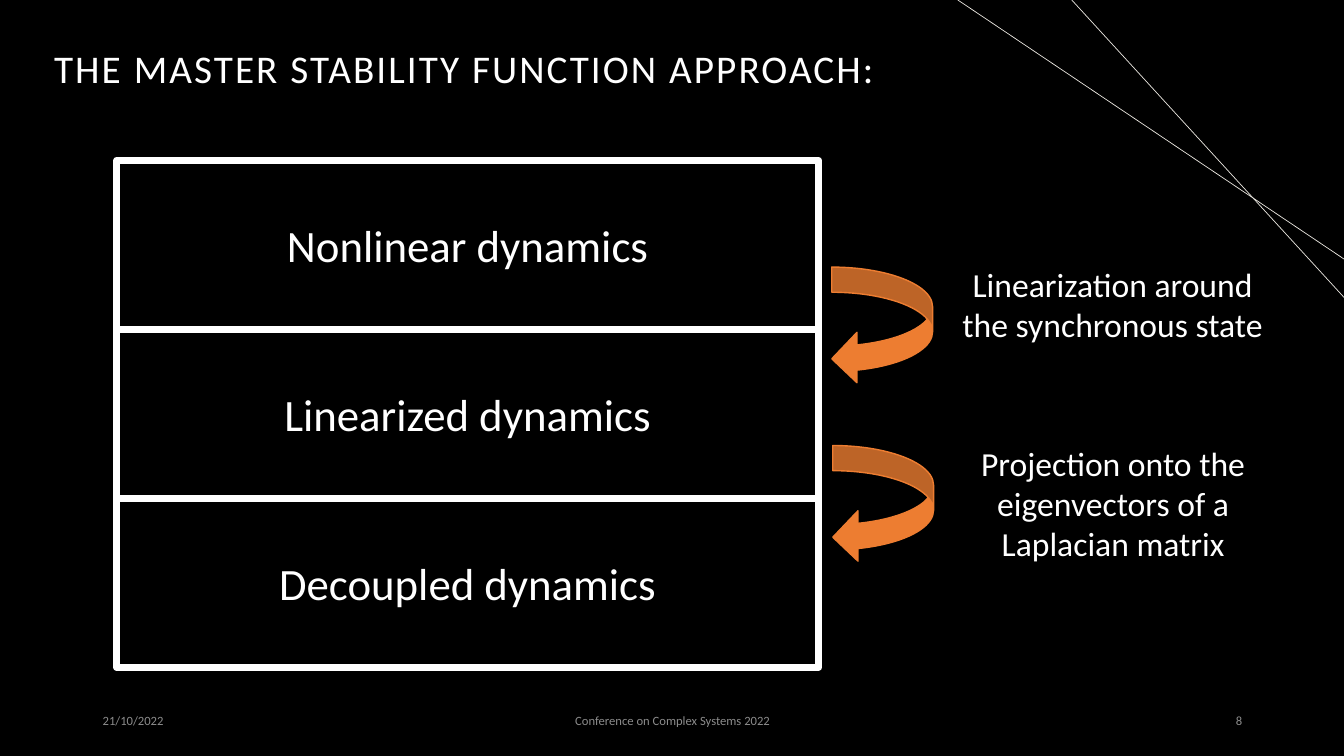
from lxml import etree
from pptx import Presentation
from pptx.dml.color import RGBColor
from pptx.enum.shapes import MSO_CONNECTOR, MSO_SHAPE
from pptx.enum.text import MSO_ANCHOR, PP_ALIGN
from pptx.oxml.ns import qn
from pptx.util import Inches, Pt

LEFT, CENTER, RIGHT = PP_ALIGN.LEFT, PP_ALIGN.CENTER, PP_ALIGN.RIGHT
TOP, MIDDLE = MSO_ANCHOR.TOP, MSO_ANCHOR.MIDDLE
RECT, CURVE = MSO_SHAPE.RECTANGLE, MSO_SHAPE.CURVED_LEFT_ARROW
STRAIGHT = MSO_CONNECTOR.STRAIGHT
FONT = "Calibri"
BLACK, WHITE, GREY = "000000", "FFFFFF", "8C8C8C"
ORANGE, CREAM = "ED7D31", "E9E6DF"
WIDTH, HEIGHT = 13.33, 7.5


def color(code):
    return RGBColor.from_string(code)


def write(shape, text, size, code=WHITE, align=CENTER, anchor=MIDDLE):
    frame = shape.text_frame
    frame.word_wrap = True
    frame.vertical_anchor = anchor
    para = frame.paragraphs[0]
    para.alignment = align
    run = para.add_run()
    run.text = text
    run.font.name = FONT
    run.font.size = Pt(size)
    run.font.color.rgb = color(code)
    return run


def add_text(slide, box, *args, **style):
    shape = slide.shapes.add_textbox(*map(Inches, box))
    return write(shape, *args, **style)


def add_form(slide, kind, box, line, width, fill=None):
    shape = slide.shapes.add_shape(kind, *map(Inches, box))
    shape.shadow.inherit = False
    if fill:
        shape.fill.solid()
        shape.fill.fore_color.rgb = color(fill)
    else:
        shape.fill.background()
    shape.line.color.rgb = color(line)
    shape.line.width = Pt(width)
    return shape


def add_corner(slide, box):
    left, top, width, height = box
    right = left + width
    for start, drop in ((left, 2.57), (left + 1.13, height)):
        ends = map(Inches, (start, top, right, top + drop))
        line = slide.shapes.add_connector(STRAIGHT, *ends)
        line.line.color.rgb = color(CREAM)
        line.line.width = Pt(0.5)
        etree.SubElement(line.element.spPr, qn("a:effectLst"))


def add_title(slide, box):
    run = add_text(slide, box, "THE MASTER STABILITY FUNCTION APPROACH:", 28)
    run.font.fill
    run.font.bold = False
    run._r.get_or_add_rPr().set("spc", "150")


def add_stack(slide, box, labels):
    left, top, width, height = box
    step = height / len(labels)
    for row, label in enumerate(labels):
        cell = (left, top + row * step, width, step)
        write(add_form(slide, RECT, cell, WHITE, 5), label, 32)


def add_step(slide, box, label, inset):
    left, top, width, height = box
    arrow = (left, top + 0.08, 1, 1.16)
    add_form(slide, CURVE, arrow, ORANGE, 1, ORANGE)
    note = (left + inset, top, width - inset, height)
    add_text(slide, note, label, 24, anchor=TOP)


def add_footer(slide, box):
    left, top, width, height = box
    side, mid = 3, 4.5
    parts = (
        (left, side, "21/10/2022", LEFT),
        (left + (width - mid) / 2, mid, "Conference on Complex Systems 2022", CENTER),
        (left + width - side, side, "8", RIGHT),
    )
    for start, span, text, align in parts:
        add_text(slide, (start, top, span, height), text, 9, GREY, align)


def main():
    deck = Presentation()
    deck.slide_width, deck.slide_height = Inches(WIDTH), Inches(HEIGHT)
    slide = deck.slides.add_slide(deck.slide_layouts[6])
    slide.background.fill.solid()
    slide.background.fill.fore_color.rgb = color(BLACK)

    add_corner(slide, (9.5, 0, WIDTH - 9.5, 2.95))
    add_title(slide, (0, 0, 9.21, 1.35))
    labels = ("Nonlinear dynamics", "Linearized dynamics", "Decoupled dynamics")
    add_stack(slide, (1.16, 1.59, 6.96, 5.03), labels)
    add_step(slide, (8.25, 2.57, 4.4, 1.31),
             "Linearization around the synchronous state", 1.17)
    add_step(slide, (8.26, 4.34, 4.33, 1.31),
             "Projection onto the eigenvectors of a Laplacian matrix", 1.23)
    add_footer(slide, (0.92, 6.95, 11.5, 0.4))
    deck.save("out.pptx")


if __name__ == "__main__":
    main()
